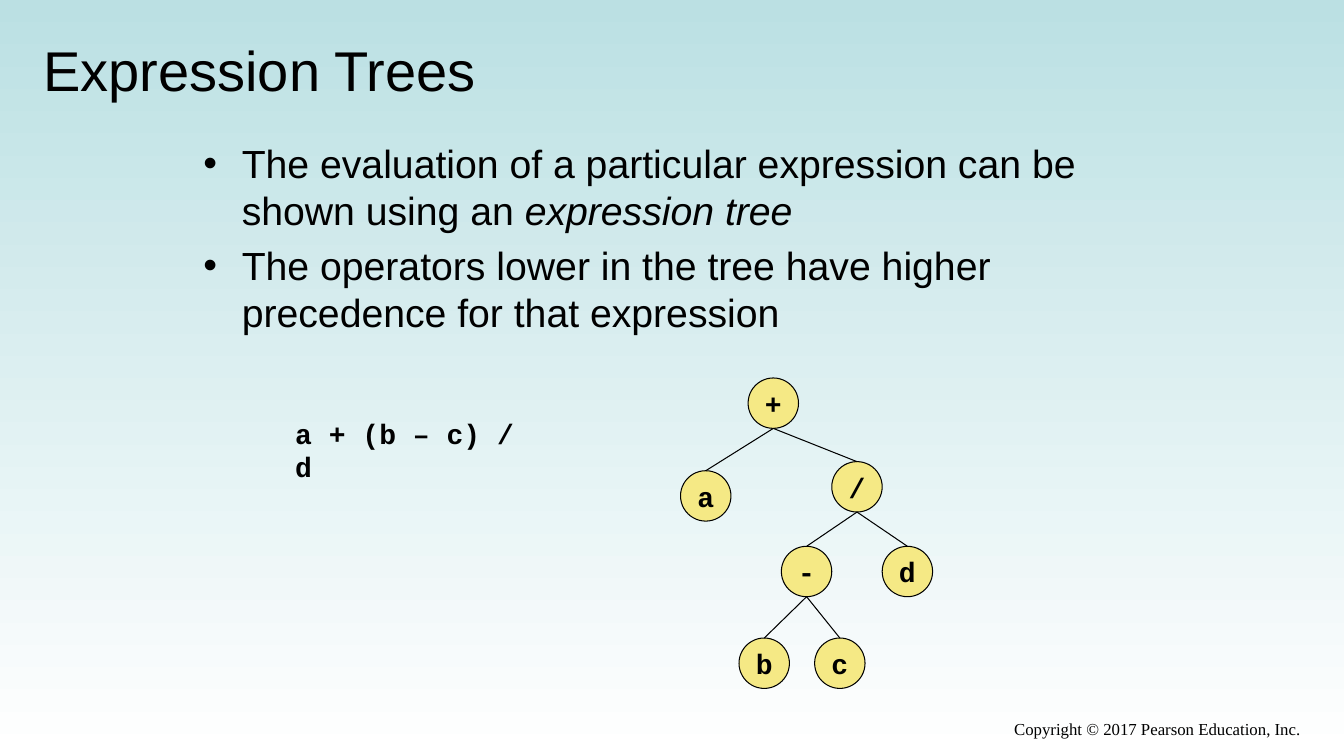
from lxml.etree import SubElement
from pptx import Presentation
from pptx.dml.color import RGBColor
from pptx.enum.shapes import MSO_CONNECTOR as Connector, MSO_SHAPE as Shape
from pptx.enum.text import MSO_ANCHOR as Anchor, PP_ALIGN as Align
from pptx.oxml.ns import qn
from pptx.util import Inches, Pt


def color(code):
    return RGBColor.from_string(code)


def assign(target, values):
    for name, value in values.items():
        setattr(target, name, value)


class TreePage:
    ink = "000000"
    node_fill = "F5E985"
    diameter = 0.5
    title_font = {"name": "Arial", "size": Pt(40), "bold": False}
    body_font = {"name": "Arial", "size": Pt(28)}
    code_font = {"name": "Courier New", "size": Pt(20), "bold": True}
    footer_font = {"name": "Times New Roman", "size": Pt(12)}

    def __init__(self, deck):
        self.page = deck.slides.add_slide(deck.slide_layouts[5])

    def background(self, top, bottom):
        fill = self.page.background.fill
        fill.gradient()
        fill.gradient_angle = 270
        for stop, code in zip(fill.gradient_stops, (top, bottom)):
            stop.color.rgb = color(code)

    def add_span(self, para, text, font, italic=False):
        span = para.add_run()
        span.text = text
        assign(span.font, {**font, "italic": italic})
        span.font.color.rgb = color(self.ink)

    def title(self, text, left, top, width, height):
        box = self.page.shapes.title
        assign(box, {"left": Inches(left), "top": Inches(top),
                     "width": Inches(width), "height": Inches(height)})
        assign(box.text_frame, {"vertical_anchor": Anchor.MIDDLE, "word_wrap": True})
        para = box.text_frame.paragraphs[0]
        para.alignment = Align.LEFT
        self.add_span(para, text, self.title_font)

    def frame(self, left, top, width, height):
        box = self.page.shapes.add_textbox(*map(Inches, (left, top, width, height)))
        box.text_frame.word_wrap = True
        return box.text_frame

    def text(self, text, font, area, align=Align.LEFT):
        para = self.frame(*area).paragraphs[0]
        para.alignment = align
        self.add_span(para, text, font)

    def bullets(self, items, area):
        frame = self.frame(*area)
        for index, spans in enumerate(items):
            para = frame.add_paragraph() if index else frame.paragraphs[0]
            if index:
                para.space_before = Pt(5.6)
            properties = para._p.get_or_add_pPr()
            properties.set("marL", str(Inches(0.38)))
            properties.set("indent", str(-Inches(0.38)))
            SubElement(properties, qn("a:buFont"), typeface="Arial")
            SubElement(properties, qn("a:buChar"), char="•")
            for text, italic in spans:
                self.add_span(para, text, self.body_font, italic)

    def node(self, label, left, top):
        circle = self.page.shapes.add_shape(
            Shape.OVAL, *map(Inches, (left, top, self.diameter, self.diameter)))
        circle.shadow.inherit = False
        circle.fill.solid()
        circle.fill.fore_color.rgb = color(self.node_fill)
        circle.line.color.rgb = color(self.ink)
        circle.line.width = Pt(0.75)
        frame = circle.text_frame
        assign(frame, {"margin_left": 0, "margin_right": 0, "margin_top": 0,
                       "margin_bottom": 0, "word_wrap": False,
                       "vertical_anchor": Anchor.MIDDLE})
        para = frame.paragraphs[0]
        para.alignment = Align.CENTER
        self.add_span(para, label, self.code_font)

    def edge(self, child, parent):
        radius = self.diameter / 2
        ends = (child[0] + radius, child[1],
                parent[0] + radius, parent[1] + self.diameter)
        line = self.page.shapes.add_connector(Connector.STRAIGHT, *map(Inches, ends))
        line.line.color.rgb = color(self.ink)
        line.line.width = Pt(0.75)
        SubElement(line._element.spPr, qn("a:effectLst"))


NODES = {
    "a": (6.75, 4.67), "+": (7.42, 3.75), "/": (8.25, 4.58), "-": (7.75, 5.42),
    "d": (8.75, 5.42), "b": (7.33, 6.33), "c": (8.08, 6.33),
}
CHILDREN = {"+": "a/", "/": "-d", "-": "bc"}
POINTS = [
    [("The evaluation of a particular expression can be shown using an ", False),
     ("expression tree", True)],
    [("The operators lower in the tree have higher precedence for that expression",
      False)],
]


def main():
    deck = Presentation()
    assign(deck, {"slide_width": Inches(13.33), "slide_height": Inches(7.5)})
    tree = TreePage(deck)
    tree.background("BBE0E3", "FFFFFF")
    tree.title("Expression Trees", 0.33, 0.3, 12.67, 0.78)
    tree.bullets(POINTS, (1.92, 1.33, 9.5, 2.08))
    tree.text("a + (b – c) / d", tree.code_font, (2.83, 4.08, 2.6, 0.43))
    for label, place in NODES.items():
        tree.node(label, *place)
    for parent, children in CHILDREN.items():
        for child in children:
            tree.edge(NODES[child], NODES[parent])
    tree.text("Copyright © 2017 Pearson Education, Inc.", tree.footer_font,
              (4.89, 7.08, 8.11, 0.34), Align.RIGHT)
    deck.save("out.pptx")


if __name__ == "__main__":
    main()
